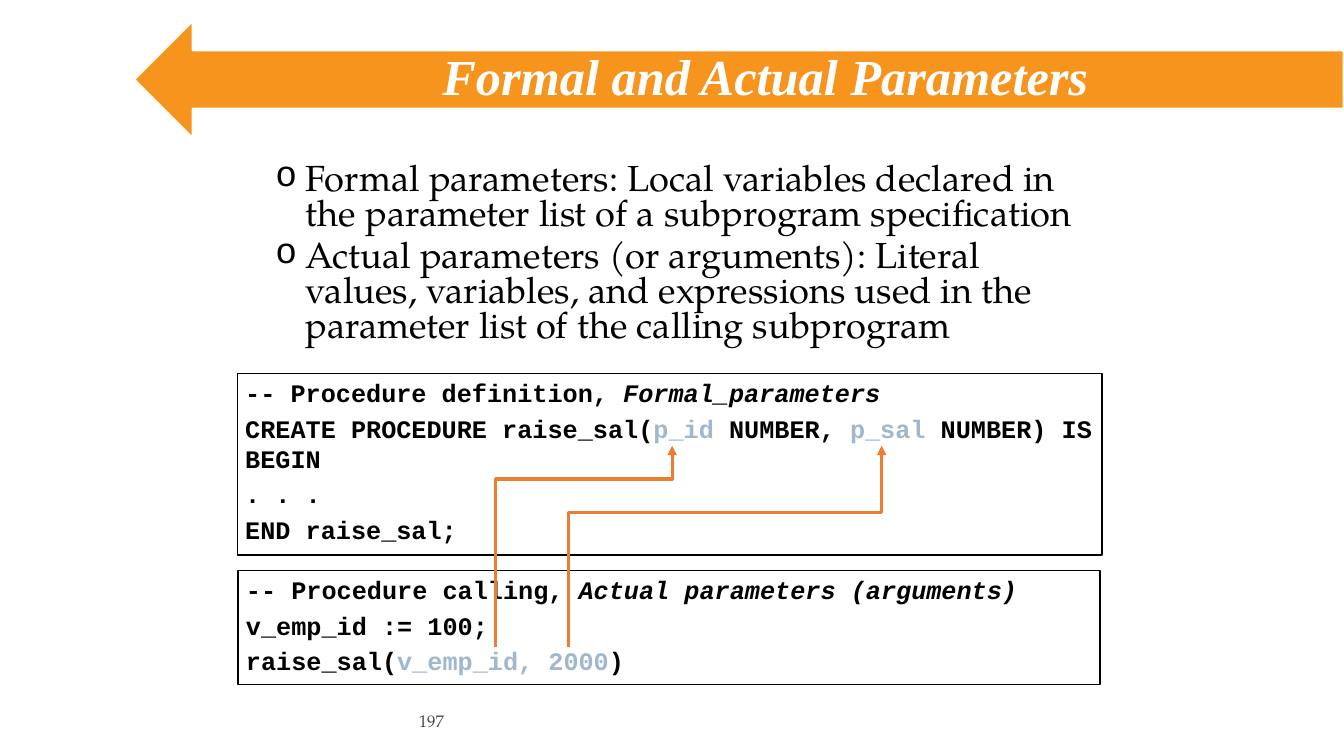
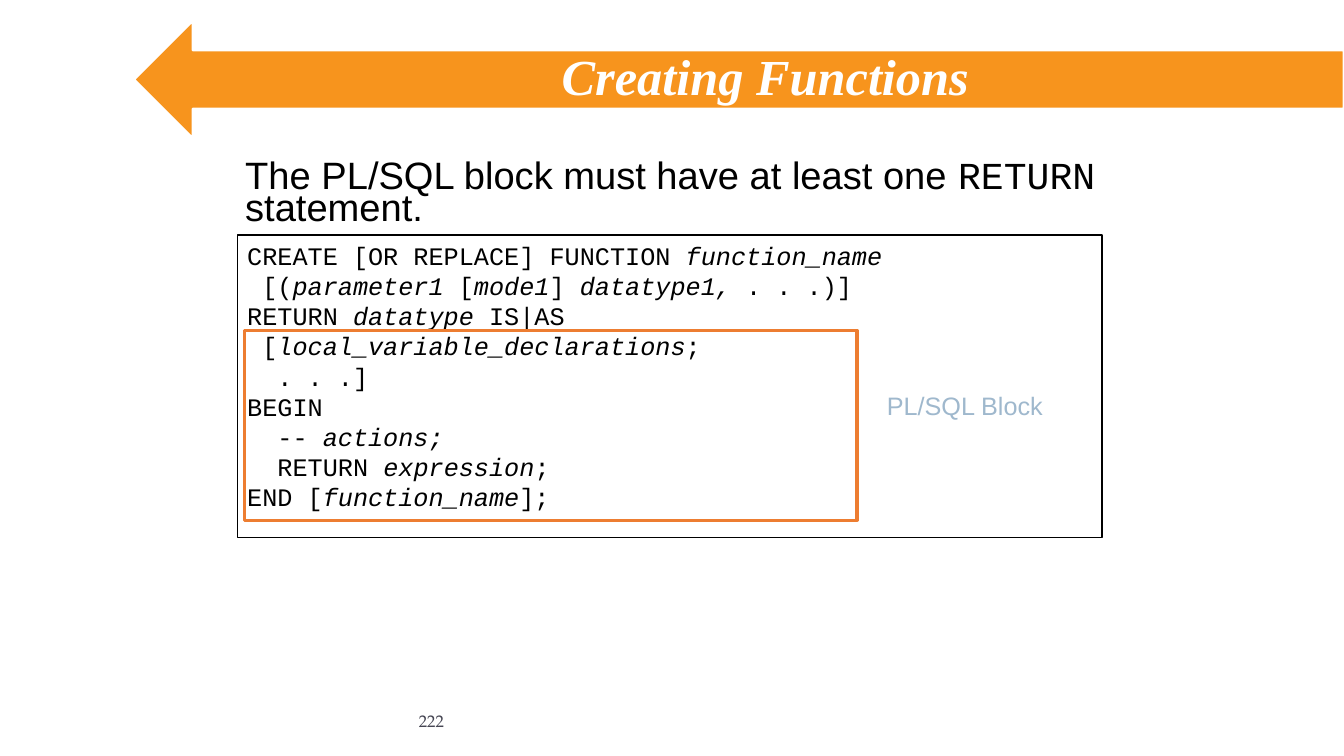
from lxml.etree import SubElement
from pptx import Presentation
from pptx.dml.color import RGBColor
from pptx.enum.shapes import MSO_SHAPE as Shape
from pptx.enum.text import MSO_ANCHOR as Anchor, MSO_AUTO_SIZE as AutoSize, PP_ALIGN as Align
from pptx.oxml.ns import qn
from pptx.util import Cm, Pt

WHITE = RGBColor(0xFF, 0xFF, 0xFF)
BLACK = RGBColor(0x00, 0x00, 0x00)
BAND = RGBColor(0xF7, 0x94, 0x1D)
ACCENT = RGBColor(0xED, 0x7D, 0x31)
PALE_BLUE = RGBColor(0x9F, 0xB8, 0xCD)
SLATE = RGBColor(0x46, 0x46, 0x53)

SERIF = "TeX Gyre Pagella"
TITLE = {"name": "Times New Roman", "size": Pt(36), "bold": True, "italic": True, "rgb": WHITE}
BULLET = {"name": SERIF, "size": Pt(25.9), "rgb": BLACK}
LEAD = {"name": "Arial", "size": Pt(27.2), "rgb": BLACK}
CODE = {"name": "Courier New", "size": Pt(18), "rgb": BLACK}
BOLD_CODE = {**CODE, "bold": True}
LABEL = {"name": "Arial", "size": Pt(18), "rgb": PALE_BLUE}
NUMBER = {"name": SERIF, "size": Pt(12), "rgb": SLATE}

ITALIC = {"italic": True}
PARAMETER = {"rgb": PALE_BLUE}
MONO = {"name": "Courier New"}

BAND_BOX = (3.38, 0.53, 30.48, 2.95)
TITLE_BOX = (4.23, 1.09, 30.12, 1.83)
NUMBER_BOX = (5.93, 17.65, 5.51, 1.02)

TIGHT = {"margin_left": Cm(0.2), "margin_right": Cm(0.2),
         "margin_top": Cm(0.1), "margin_bottom": Cm(0.1)}
CODE_GAP = {"space_before": Pt(3.6)}


def set_attributes(target, formats):
    for key, value in formats.items():
        if key == "rgb":
            target.color.rgb = value
        else:
            setattr(target, key, value)


def lengths(box):
    return [Cm(value) for value in box]


def write(frame, paragraphs, font, layout=None, gap=None, frame_format=None):
    set_attributes(frame, {"word_wrap": True, "auto_size": AutoSize.NONE,
                           "vertical_anchor": Anchor.TOP, **(frame_format or {})})
    for index, runs in enumerate(paragraphs):
        paragraph = frame.add_paragraph() if index else frame.paragraphs[0]
        set_attributes(paragraph, {"alignment": Align.LEFT, **(layout or {})})
        if index:
            set_attributes(paragraph, gap or {})
        for text, changes in runs:
            for part_index, part in enumerate(text.split("\n")):
                if part_index:
                    paragraph.add_line_break()
                if part:
                    run = paragraph.add_run()
                    run.text = part
                    set_attributes(run.font, {**font, **changes})


def add_text(slide, box, paragraphs, font, **options):
    frame = slide.shapes.add_textbox(*lengths(box)).text_frame
    write(frame, paragraphs, font, **options)
    return frame


def style_shape(shape, fill, line, width):
    shape.shadow.inherit = False
    if fill is None:
        shape.fill.background()
    else:
        shape.fill.solid()
        shape.fill.fore_color.rgb = fill
    set_attributes(shape.line, {"rgb": line, "width": Pt(width)})


def add_panel(slide, box, fill=WHITE, line=BLACK, width=1, kind=Shape.RECTANGLE):
    panel = slide.shapes.add_shape(kind, *lengths(box))
    style_shape(panel, fill, line, width)
    return panel


def add_bullets(frame):
    for paragraph in frame.paragraphs:
        properties = paragraph._p.get_or_add_pPr()
        properties.set("marL", str(Cm(1.52)))
        properties.set("indent", str(Cm(-0.76)))
        SubElement(properties, qn("a:buFont")).set("typeface", "Courier New")
        SubElement(properties, qn("a:buChar")).set("char", "o")


def add_parameter_arrow(slide, points):
    start, *corners = [tuple(lengths(point)) for point in points]
    builder = slide.shapes.build_freeform(*start)
    builder.add_line_segments(corners, close=False)
    arrow = builder.convert_to_shape()
    style_shape(arrow, None, ACCENT, 2.25)
    SubElement(arrow.line._get_or_add_ln(), qn("a:tailEnd")).set("type", "triangle")


def add_titled_slide(deck, title, number):
    slide = deck.slides.add_slide(deck.slide_layouts[5])
    band = add_panel(slide, BAND_BOX, BAND, WHITE, 1.5, Shape.LEFT_ARROW)
    slide.shapes._spTree.insert(2, band._element)
    heading = slide.shapes.title
    set_attributes(heading, dict(zip(("left", "top", "width", "height"), lengths(TITLE_BOX))))
    write(heading.text_frame, [[(title, {})]], TITLE,
          layout={"alignment": Align.CENTER, "line_spacing": 0.9},
          frame_format={"vertical_anchor": Anchor.MIDDLE})
    add_text(slide, NUMBER_BOX, [[(number, {})]], NUMBER,
             layout={"alignment": Align.RIGHT},
             frame_format={"vertical_anchor": Anchor.MIDDLE})
    return slide


def add_parameter_code(slide, box):
    left, top, width, height = box
    definition = [
        [("-- Procedure definition, ", {}), ("Formal_parameters", ITALIC)],
        [("CREATE PROCEDURE raise_sal(", {}), ("p_id ", PARAMETER), ("NUMBER, ", {}),
         ("p_sal ", PARAMETER), ("NUMBER) IS\nBEGIN", {})],
        [(". . .", {})],
        [("END raise_sal;", {})],
    ]
    call = [
        [("-- Procedure calling, ", {}), ("Actual parameters (arguments)", ITALIC)],
        [("v_emp_id := 100;", {})],
        [("raise_sal(", {}), ("v_emp_id, 2000", PARAMETER), (")", {})],
    ]
    call_height = 2.87
    call_box = (left + 0.02, top + height - call_height, width - 0.07, call_height)
    for code_box, code in (((left, top, width, 4.57), definition), (call_box, call)):
        write(add_panel(slide, code_box).text_frame, code, BOLD_CODE,
              gap=CODE_GAP, frame_format=TIGHT)
    tip, tail = top + 1.81, top + 6.89
    for start, bend, end in ((6.51, 2.65, 10.96), (8.35, 3.49, 16.24)):
        add_parameter_arrow(slide, [(left + start, tail), (left + start, top + bend),
                                    (left + end, top + bend), (left + end, tip)])


def add_function_code(slide, box):
    left, top, width, height = box
    syntax = [
        [("CREATE [OR REPLACE] FUNCTION ", {}), ("function_name", ITALIC), ("\n [(", {}),
         ("parameter1 ", ITALIC), ("[", {}), ("mode1", ITALIC), ("]", {}),
         (" datatype1, ", ITALIC), (". . .)]", {})],
        [("RETURN ", {}), ("datatype ", ITALIC), ("IS|AS", {})],
        [(" [", {}), ("local_variable_declarations", ITALIC), (";", {})],
        [("  . . .]", {})],
        [("BEGIN\n  -- ", {}), ("actions;", ITALIC)],
        [("  RETURN ", {}), ("expression", ITALIC), (";", {})],
        [("END [", {}), ("function_name", ITALIC), ("];", {})],
    ]
    write(add_panel(slide, box).text_frame, syntax, CODE)
    add_text(slide, (left + 16.15, top + 3.81, 4.37, 0.97), [[("PL/SQL Block", {})]], LABEL,
             layout={"alignment": Align.CENTER}, frame_format=TIGHT)
    add_panel(slide, (left + 0.18, top + 2.41, 15.44, 4.78), None, ACCENT, 2.25)


def build_parameters_slide(deck):
    slide = add_titled_slide(deck, "Formal and Actual Parameters", "197")
    definitions = [
        [("Formal parameters: Local variables declared in the parameter list "
          "of a subprogram specification", {})],
        [("Actual parameters (or arguments): Literal values, variables, and expressions "
          "used in the parameter list of the calling subprogram", {})],
    ]
    frame = add_text(slide, (5.93, 4.01, 22, 4.9), definitions, BULLET,
                     layout={"line_spacing": 0.8}, gap={"space_before": Pt(5)})
    add_bullets(frame)
    add_parameter_code(slide, (5.98, 9.42, 21.79, 7.83))


def build_functions_slide(deck):
    slide = add_titled_slide(deck, "Creating Functions", "222")
    add_text(slide, (5.93, 4.01, 22, 1.93),
             [[("The PL/SQL block must have at least one ", {}), ("RETURN", MONO),
               (" statement.", {})]],
             LEAD, layout={"line_spacing": 0.7})
    add_function_code(slide, (5.98, 5.92, 21.79, 7.62))


def main():
    deck = Presentation()
    set_attributes(deck, {"slide_width": Cm(33.87), "slide_height": Cm(19.05)})
    build_parameters_slide(deck)
    build_functions_slide(deck)
    deck.save("out.pptx")


if __name__ == "__main__":
    main()
